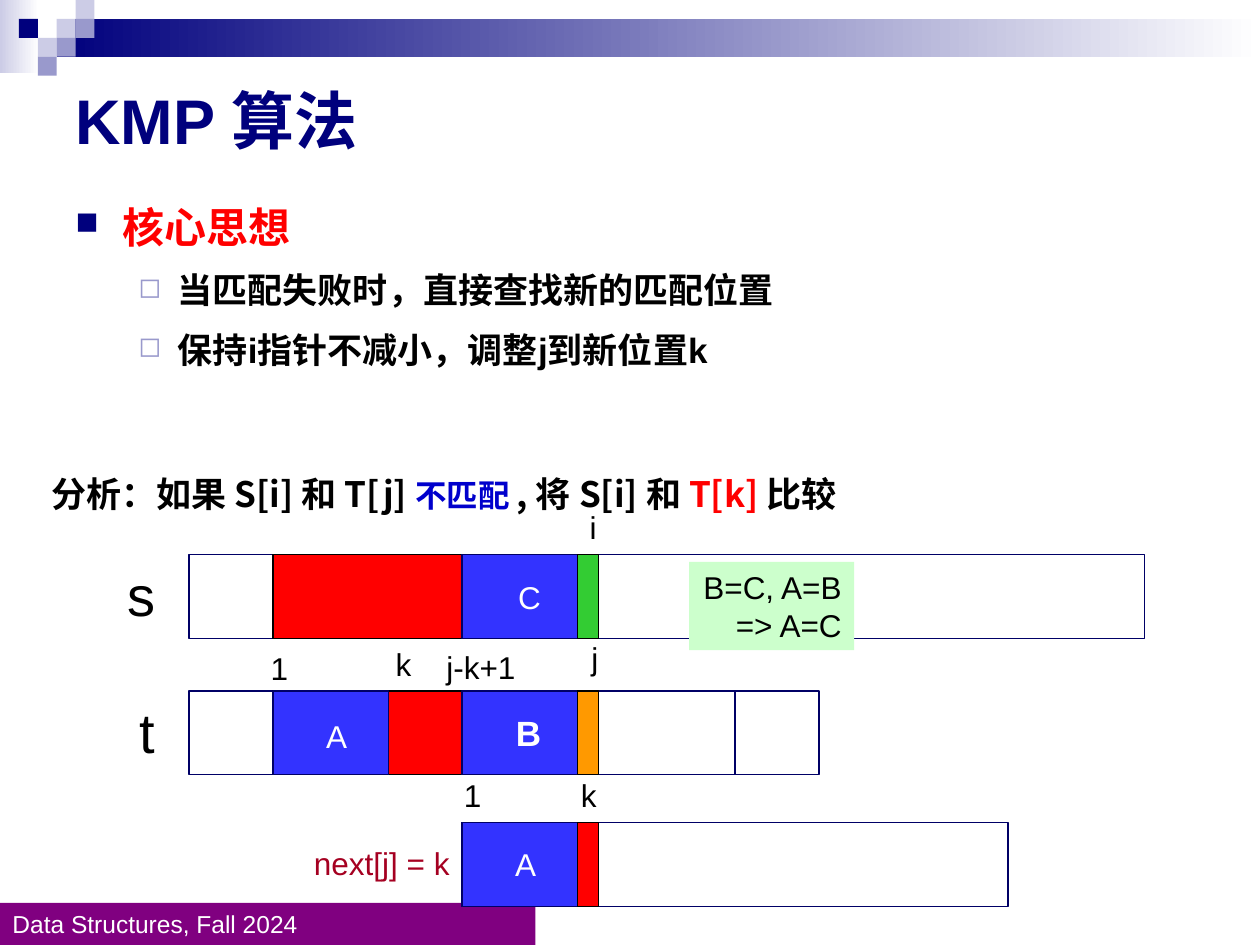
from dataclasses import dataclass
from typing import NamedTuple, Optional

from lxml import etree
from pptx import Presentation
from pptx import util as u
from pptx.dml.color import RGBColor
from pptx.enum import shapes, text
from pptx.oxml.ns import qn


@dataclass(frozen=True)
class Theme:
    latin: str = "Arial"
    cjk: str = "Noto Sans CJK SC"
    navy: str = "00007D"
    lilac: str = "CCCCE6"
    violet: str = "9999CC"
    purple: str = "800080"
    outline: str = "000066"
    black: str = "000000"
    white: str = "FFFFFF"
    red: str = "FF0000"
    blue: str = "3333FF"
    green: str = "33CC33"
    orange: str = "FF9900"
    mint: str = "CCFFCC"
    crimson: str = "A50021"
    emphasis: str = "0000CC"
    title: float = 36
    row_name: float = 32
    heading: float = 24
    body: float = 20
    label: float = 18
    footer: float = 14


THEME = Theme()
ROW_HEIGHT = 48
S_TOP, T_TOP, SHIFTED_TOP = 316.8, 394.8, 470


class Block(NamedTuple):
    left: float
    top: float
    width: float
    height: float = ROW_HEIGHT
    fill: Optional[str] = None
    line: Optional[str] = None
    fade_to: Optional[str] = None


class Span(NamedTuple):
    words: str
    size: float = THEME.label
    color: str = THEME.black
    bold: bool = False
    font: str = THEME.latin


class Label(NamedTuple):
    left: float
    top: float
    width: float
    height: float
    span: Span
    wrap: bool = True


class Bullet(NamedTuple):
    span: Span
    mark: str
    color: str
    scale: int
    margin: float
    hang: float
    before: float = 0
    spacing: float = 1


def add_block(page, block: Block):
    shape = page.shapes.add_shape(
        shapes.MSO_SHAPE.RECTANGLE, *map(u.Pt, block[:4]))
    shape.shadow.inherit = False
    if block.fade_to:
        shape.fill.gradient()
        shape.fill.gradient_angle = 0
        for stop, color in zip(shape.fill.gradient_stops, (block.fill, block.fade_to)):
            stop.color.rgb = RGBColor.from_string(color)
    elif block.fill:
        shape.fill.solid()
        shape.fill.fore_color.rgb = RGBColor.from_string(block.fill)
    else:
        shape.fill.background()
    if block.line:
        shape.line.color.rgb = RGBColor.from_string(block.line)
        shape.line.width = u.Pt(0.75)
    else:
        shape.line.fill.background()
    return shape


def style_run(run, span: Span) -> None:
    run.font.size = u.Pt(span.size)
    run.font.bold = span.bold
    run.font.name = span.font
    run.font.color.rgb = RGBColor.from_string(span.color)
    east_asian = etree.SubElement(run.font._element, qn("a:ea"))
    east_asian.set("typeface", THEME.cjk)


def write_spans(para, *spans: Span) -> None:
    for span in spans:
        run = para.add_run()
        run.text = span.words
        style_run(run, span)


def add_text_box(page, left: float, top: float, width: float, height: float,
                 wrap: bool = True):
    box = page.shapes.add_textbox(*map(u.Pt, (left, top, width, height)))
    box.text_frame.word_wrap = wrap
    return box.text_frame


def write_lines(frame, span: Span, align) -> None:
    frame.text = span.words
    for para in frame.paragraphs:
        para.alignment = align
        for run in para.runs:
            style_run(run, span)


def add_label(page, label: Label) -> None:
    frame = add_text_box(page, *label[:4], wrap=label.wrap)
    write_lines(frame, label.span, text.PP_ALIGN.RIGHT)


def write_bullet(para, bullet: Bullet) -> None:
    para.space_before = u.Pt(bullet.before)
    para.line_spacing = bullet.spacing
    props = para._p.get_or_add_pPr()
    props.set("marL", str(int(u.Pt(bullet.margin))))
    props.set("indent", str(-int(u.Pt(bullet.hang))))
    color = etree.SubElement(props, qn("a:buClr"))
    etree.SubElement(color, qn("a:srgbClr")).set("val", bullet.color)
    etree.SubElement(props, qn("a:buSzPct")).set("val", str(bullet.scale * 1000))
    etree.SubElement(props, qn("a:buChar")).set("char", bullet.mark)
    write_spans(para, bullet.span)


def draw_banner(page) -> None:
    add_block(page, Block(0, 0, 22.3, 41.8, THEME.lilac, fade_to=THEME.white))
    add_block(page, Block(32.4, 10.8, 687.6, 21.6, THEME.navy, fade_to=THEME.white))
    side = 10.8
    tiles = [(3, 1, THEME.lilac), (4, 0, THEME.lilac), (4, 1, THEME.violet),
             (2, 2, THEME.lilac), (1, 1, THEME.navy), (3, 2, THEME.violet),
             (2, 3, THEME.violet)]
    for column, row, color in tiles:
        add_block(page, Block(column * side, row * side, side, side, color))


def draw_text(page) -> None:
    # Footer and title
    footer = add_block(page, Block(0, 516, 306, 24.5, THEME.purple)).text_frame
    footer.vertical_anchor = text.MSO_ANCHOR.TOP
    write_lines(footer, Span("Data Structures, Fall 2024", THEME.footer, THEME.white),
                text.PP_ALIGN.LEFT)
    title = add_text_box(page, 36, 36, 648, 64)
    title.vertical_anchor = text.MSO_ANCHOR.MIDDLE
    write_lines(title, Span("KMP 算法", THEME.title, THEME.navy, True),
                text.PP_ALIGN.LEFT)

    # Main idea
    body = add_text_box(page, 36, 111.6, 648, 374.4)
    write_bullet(body.paragraphs[0], Bullet(
        Span("核心思想", THEME.heading, THEME.red, True), "■", THEME.navy, 75, 27, 27))
    for words in ("当匹配失败时，直接查找新的匹配位置", "保持i指针不减小，调整j到新位置k"):
        para = body.add_paragraph()
        para.level = 1
        write_bullet(para, Bullet(Span(words, THEME.body, bold=True), "◻",
                                  THEME.violet, 80, 58.5, 22.5, 5, 1.2))

    # Analysis
    analysis = add_text_box(page, 22.3, 266.4, 499.7, 32.4)
    write_spans(
        analysis.paragraphs[0],
        Span("分析：如果 S[i] 和 T[j] ", THEME.body, bold=True, font=THEME.cjk),
        Span("不匹配 ", THEME.label, THEME.emphasis, True),
        Span(", 将 S[i] 和 ", THEME.body, bold=True, font=THEME.cjk),
        Span("T[k] ", THEME.body, THEME.red, True, THEME.cjk),
        Span("比较", THEME.body, bold=True, font=THEME.cjk))


def draw_strings(page) -> None:
    # Rows s, t and shifted t: left, top, width, fill, line
    cells = [
        (108, T_TOP, 312, None, THEME.outline),
        (108, S_TOP, 546, None, THEME.outline),
        (156, T_TOP, 312, None, THEME.outline),
        (156, S_TOP, 174, THEME.red, THEME.black),
        (156, T_TOP, 174, THEME.red, THEME.black),
        (264, T_TOP, 66, THEME.blue, THEME.outline),
        (264, S_TOP, 66, THEME.blue, THEME.outline),
        (330, S_TOP, 12, THEME.green, THEME.black),
        (330, T_TOP, 12, THEME.orange, THEME.black),
        (264, SHIFTED_TOP, 312, None, THEME.outline),
        (264, SHIFTED_TOP, 66, THEME.blue, THEME.outline),
        (330, SHIFTED_TOP, 12, THEME.red, THEME.black),
        (156, T_TOP, 66, THEME.blue, THEME.outline),
    ]
    for left, top, width, fill, line in cells:
        add_block(page, Block(left, top, width, fill=fill, line=line))

    # Row names, indices and segment names
    white_a = Span("A", color=THEME.white)
    labels = [
        Label(66, S_TOP, 30, 46, Span("s", THEME.row_name)),
        Label(66, T_TOP, 30, 46, Span("t", THEME.row_name)),
        Label(319, 361.5, 30, 29, Span("j")),
        Label(324, 286.6, 24, 29, Span("i")),
        Label(258, 440, 18, 29, Span("1")),
        Label(324, 440, 24, 29, Span("k")),
        Label(219, 365, 21.6, 29, Span("k")),
        Label(147.6, 367.2, 18, 29, Span("1")),
        Label(229.7, 366.5, 72, 29, Span("j-k+1")),
        Label(108, 478.8, 156, 29, Span("next[j] = k", color=THEME.crimson)),
        Label(179.3, 406, 26, 29, white_a, False),
        Label(287.3, 403.2, 29, 31.7, Span("B", THEME.body, THEME.white, True), False),
        Label(288.7, 326.9, 27.4, 29, Span("C", color=THEME.white), False),
        Label(287.3, 479.5, 26, 29, white_a, False),
    ]
    for label in labels:
        add_label(page, label)

    # Conclusion
    note = add_block(page, Block(393.8, 321.1, 94.3, 50.4, THEME.mint)).text_frame
    note.word_wrap = False
    note.vertical_anchor = text.MSO_ANCHOR.TOP
    write_lines(note, Span("B=C, A=B\n=> A=C"), text.PP_ALIGN.RIGHT)


def main() -> None:
    deck = Presentation()
    deck.slide_width, deck.slide_height = u.Pt(720), u.Pt(540)
    page = deck.slides.add_slide(deck.slide_layouts[6])
    draw_banner(page)
    draw_text(page)
    draw_strings(page)
    deck.save("out.pptx")


if __name__ == "__main__":
    main()
